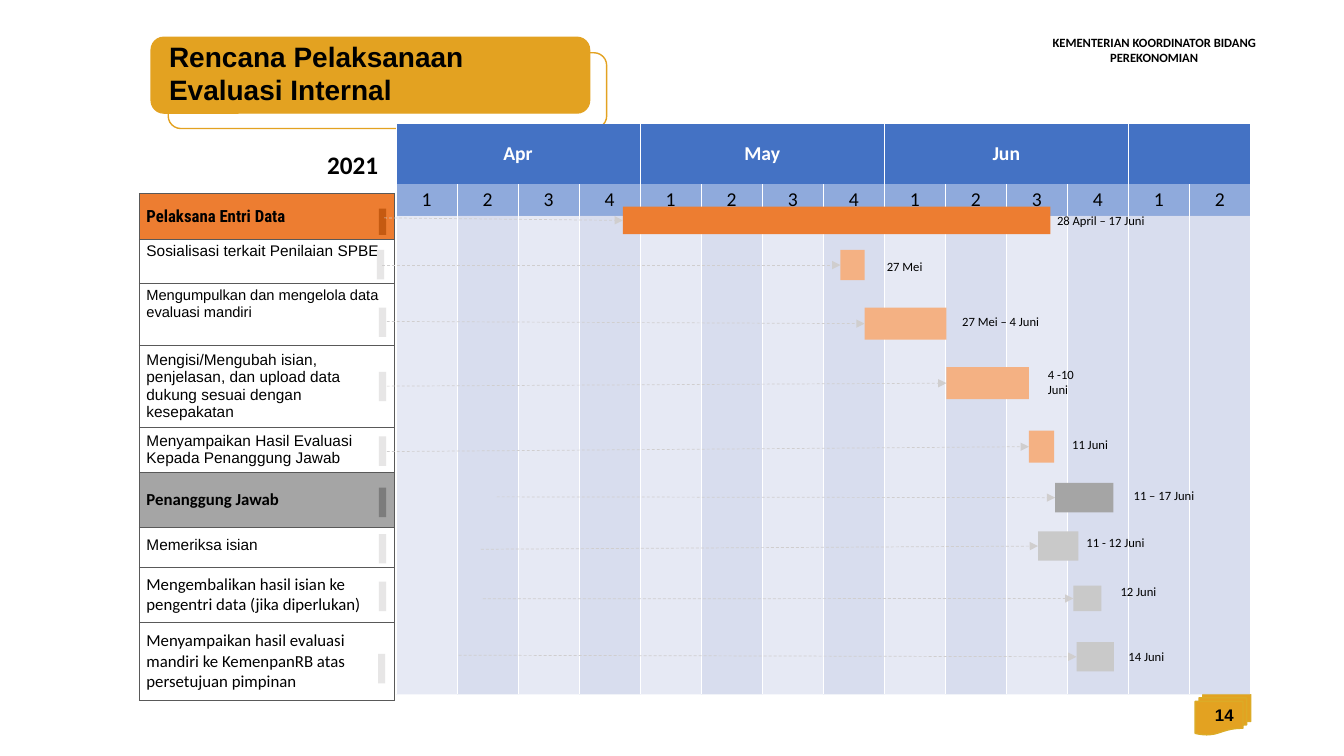
from dataclasses import dataclass

from lxml.etree import SubElement
from pptx import Presentation
from pptx.dml.color import RGBColor
from pptx.enum.dml import MSO_LINE
from pptx.enum.shapes import MSO_CONNECTOR, MSO_SHAPE
from pptx.enum.text import MSO_ANCHOR, PP_ALIGN
from pptx.oxml.ns import qn
from pptx.util import Cm, Pt

COLORS = {
    "black": "000000", "white": "FFFFFF", "gold": "E3A221", "dark gold": "DCAB27",
    "month": "4472C4", "week": "8FAADC", "body": "CFD5EA", "border": "595959",
    "orange": "ED7D31", "dark orange": "C55A11", "light orange": "F4B183",
    "gray": "A5A5A5", "dark gray": "7C7C7C", "light gray": "C9C9C9",
    "marker": "E7E6E6", "arrow": "D0CECE",
}


@dataclass
class Activity:
    """Bar, marker, arrow start and date label, in cm from the calendar corner."""
    bar: tuple
    color: str
    marker: tuple
    arrow_start: tuple
    label: str
    label_box: tuple
    marker_color: str = "marker"
    marker_height: float = 0.74


ACTIVITIES = [
    Activity((5.72, 2.09, 10.77, 0.69), "orange", (-0.43, 2.14), (-0.3, 2.37),
             "28 April – 17 Juni", (16.41, 2.11, 2.72), "dark orange", 0.66),
    Activity((11.2, 3.18, 0.61, 0.76), "light orange", (-0.48, 3.18), (-0.35, 3.56),
             "27 Mei", (12.12, 3.28, 1.42)),
    Activity((11.81, 4.63, 2.06, 0.81), "light orange", (-0.43, 4.63), (-0.23, 4.98),
             "27 Mei – 4 Juni", (14.02, 4.65, 2.46)),
    Activity((13.87, 6.13, 2.08, 0.81), "light orange", (-0.43, 6.25), (-0.23, 6.61),
             "4 -10  Juni", (16.18, 6.18, 1.8)),
    Activity((15.95, 7.73, 0.64, 0.81), "light orange", (-0.43, 7.88), (-0.23, 8.26),
             "11 Juni", (16.79, 7.75, 1.42)),
    Activity((16.61, 9.05, 1.47, 0.74), "gray", (-0.43, 9.17), (2.54, 9.4),
             "11 – 17 Juni", (18.34, 9.05, 2.03), "dark gray"),
    Activity((16.18, 10.27, 1.02, 0.74), "light gray", (-0.43, 10.34), (2.14, 10.72),
             "11 - 12 Juni", (17.15, 10.22, 1.98)),
    Activity((17.07, 11.64, 0.71, 0.64), "light gray", (-0.43, 11.54), (2.19, 11.97),
             "12 Juni", (18.01, 11.46, 1.42)),
    Activity((17.15, 13.06, 0.94, 0.74), "light gray", (-0.45, 13.36), (1.58, 13.39),
             "14 Juni", (18.21, 13.11, 1.42)),
]

# Row height in cm, text and format of each task
TASKS = [
    (1.14, "Pelaksana Entri Data",
     {"size": 12, "font": "Roboto Condensed", "bold": True, "fill": "orange"}),
    (1.13, "Sosialisasi terkait Penilaian SPBE", {"anchor": MSO_ANCHOR.TOP}),
    (1.55, "Mengumpulkan dan mengelola data evaluasi mandiri",
     {"size": 10.5, "anchor": MSO_ANCHOR.TOP}),
    (2.03, "Mengisi/Mengubah isian, penjelasan, dan upload data dukung sesuai "
           "dengan kesepakatan", {}),
    (1.12, "Menyampaikan Hasil Evaluasi Kepada Penanggung Jawab", {}),
    (1.4, "Penanggung Jawab", {"size": 12, "font": "Calibri", "bold": True, "fill": "gray"}),
    (0.99, "Memeriksa isian", {"line_spacing": Pt(9.3)}),
    (1.4, "Mengembalikan hasil isian ke pengentri data (jika diperlukan)",
     {"size": 12, "font": "Calibri"}),
    (1.96, "Menyampaikan hasil evaluasi mandiri ke KemenpanRB atas persetujuan pimpinan",
     {"size": 12, "font": "Calibri"}),
]


def rgb(name):
    return RGBColor.from_string(COLORS[name])


def write_text(frame, text, size=9, font="Calibri", color="black", bold=False,
               align=PP_ALIGN.LEFT, line_spacing=None):
    paragraph = frame.paragraphs[0]
    paragraph.alignment = align
    paragraph.line_spacing = line_spacing
    run = paragraph.add_run()
    run.text = text
    run.font.size = Pt(size)
    run.font.name = font
    run.font.bold = bold
    run.font.color.rgb = rgb(color)


def add_text(slide, box, text, wrap=True, anchor=MSO_ANCHOR.TOP, **text_format):
    frame = slide.shapes.add_textbox(*map(Cm, box)).text_frame
    frame.word_wrap = wrap
    frame.vertical_anchor = anchor
    write_text(frame, text, **text_format)


def add_block(slide, kind, box, fill=None, line=None):
    shape = slide.shapes.add_shape(kind, *map(Cm, box))
    shape.shadow.inherit = False
    if fill:
        shape.fill.solid()
        shape.fill.fore_color.rgb = rgb(fill)
    else:
        shape.fill.background()
    if line:
        shape.line.color.rgb = rgb(line)
        shape.line.width = Pt(1)
    else:
        shape.line.fill.background()
    return shape


def add_arrow(slide, start, bar):
    left, top = map(Cm, start)
    connector = slide.shapes.add_connector(MSO_CONNECTOR.STRAIGHT, left, top, left, top)
    connector.end_connect(bar, 1)
    connector.line.color.rgb = rgb("arrow")
    connector.line.width = Pt(0.5)
    connector.line.dash_style = MSO_LINE.DASH
    SubElement(connector.line._get_or_add_ln(), qn("a:tailEnd"), type="triangle")
    SubElement(connector._element.spPr, qn("a:effectLst"))


def add_plain_table(slide, box, row_heights, column_count):
    left, top, width = box
    table = slide.shapes.add_table(len(row_heights), column_count, Cm(left), Cm(top),
                                   Cm(width), Cm(sum(row_heights))).table
    table.first_row = table.horz_banding = False
    for row, height in zip(table.rows, row_heights):
        row.height = Cm(height)
    for column in table.columns:
        column.width = Cm(width / column_count)
    return table


def format_cell(cell, border, sides, fill=None, opacity=100, anchor=MSO_ANCHOR.MIDDLE):
    cell.vertical_anchor = anchor
    cell.margin_left = cell.margin_right = Cm(0.18)
    cell.margin_top = cell.margin_bottom = Cm(0.1)
    properties = cell._tc.get_or_add_tcPr()
    for side in "LRTB":
        line = SubElement(properties, qn(f"a:ln{side}"), w=str(Pt(0.5)))
        if side in sides:
            solid = SubElement(line, qn("a:solidFill"))
            SubElement(solid, qn("a:srgbClr"), val=COLORS[border])
        else:
            SubElement(line, qn("a:noFill"))
    if not fill:
        cell.fill.background()
        return
    cell.fill.solid()
    cell.fill.fore_color.rgb = rgb(fill)
    if opacity < 100:
        color = properties.find(qn("a:solidFill"))[0]
        SubElement(color, qn("a:alpha"), val=str(opacity * 1000))


def draw_header(slide, left, top, width, height):
    # Title plate with its offset outline, and the ministry name
    plate = (11.05, 1.91)
    add_block(slide, MSO_SHAPE.ROUNDED_RECTANGLE, (left, top, *plate), "gold", "gold")
    add_block(slide, MSO_SHAPE.ROUNDED_RECTANGLE, (left + 0.43, top + 0.39, *plate),
              line="gold")
    add_text(slide, (left + 0.2, top - 0.08, 9.75, 1.96),
             "Rencana Pelaksanaan Evaluasi Internal", size=20, font="Arial", bold=True)
    add_text(slide, (left + width - 7.21, top - 0.18, 7.21, 1.3),
             "KEMENTERIAN KOORDINATOR BIDANG PEREKONOMIAN", bold=True,
             align=PP_ALIGN.CENTER)


def draw_calendar(slide, left, top, width, height):
    month_height, week_height = 1.52, 0.8
    table = add_plain_table(slide, (left, top, width),
                            [month_height, week_height, height - month_height - week_height],
                            14)
    for index in range(14):
        month, week, body = (table.cell(row, index) for row in range(3))
        format_cell(month, "white", "LR", "month")
        format_cell(week, "white", "LR", "week")
        format_cell(body, "white", "LR", "body", 80 if index % 2 or index == 12 else 50)
        write_text(week.text_frame, str(index % 4 + 1), size=14, align=PP_ALIGN.CENTER)
    for index, name in enumerate(["Apr", "May", "Jun", ""]):
        first = table.cell(0, index * 4)
        first.merge(table.cell(0, min(index * 4 + 3, 13)))
        if name:
            write_text(first.text_frame, name, size=14, color="white", bold=True,
                       align=PP_ALIGN.CENTER)


def draw_tasks(slide, left, top, width):
    add_text(slide, (left + width - 1.96, top - 1.25, 1.8, 1.02), "2021", wrap=False,
             size=18, bold=True, align=PP_ALIGN.RIGHT)
    table = add_plain_table(slide, (left, top, width), [task[0] for task in TASKS], 1)
    for row, (_, text, options) in enumerate(TASKS):
        text_format = {"size": 11, "font": "Arial", **options}
        fill = text_format.pop("fill", None)
        anchor = text_format.pop("anchor", MSO_ANCHOR.MIDDLE)
        cell = table.cell(row, 0)
        format_cell(cell, "border", "LRTB", fill, anchor=anchor)
        write_text(cell.text_frame, text, **text_format)


def draw_activities(slide, left, top):
    def place(x, y, *size):
        return (left + x, top + y, *size)

    for activity in ACTIVITIES:
        bar = add_block(slide, MSO_SHAPE.RECTANGLE, place(*activity.bar), activity.color)
        add_block(slide, MSO_SHAPE.RECTANGLE,
                  place(*activity.marker, 0.18, activity.marker_height), activity.marker_color)
        add_arrow(slide, place(*activity.arrow_start), bar)
        add_text(slide, place(*activity.label_box, 0.64), activity.label, wrap=False,
                 anchor=MSO_ANCHOR.MIDDLE)


def draw_page_number(slide, left, top, width, height):
    add_block(slide, MSO_SHAPE.FLOWCHART_MULTIDOCUMENT, (left, top, width, height),
              "gold", "dark gold")
    add_text(slide, (left - 6.4, top, 7.62, height), "14", anchor=MSO_ANCHOR.MIDDLE,
             size=12, font="Arial", bold=True, align=PP_ALIGN.RIGHT)


def main():
    presentation = Presentation()
    presentation.slide_width, presentation.slide_height = Cm(33.87), Cm(19.05)
    slide = presentation.slides.add_slide(presentation.slide_layouts[6])
    draw_header(slide, 3.81, 0.94, 28.88, 2.3)
    draw_page_number(slide, 30.12, 17.5, 1.4, 1.02)
    draw_calendar(slide, 9.98, 3.12, 21.54, 14.38)
    draw_tasks(slide, 3.51, 4.88, 6.43)
    draw_activities(slide, 9.98, 3.12)
    presentation.save("out.pptx")


if __name__ == "__main__":
    main()
